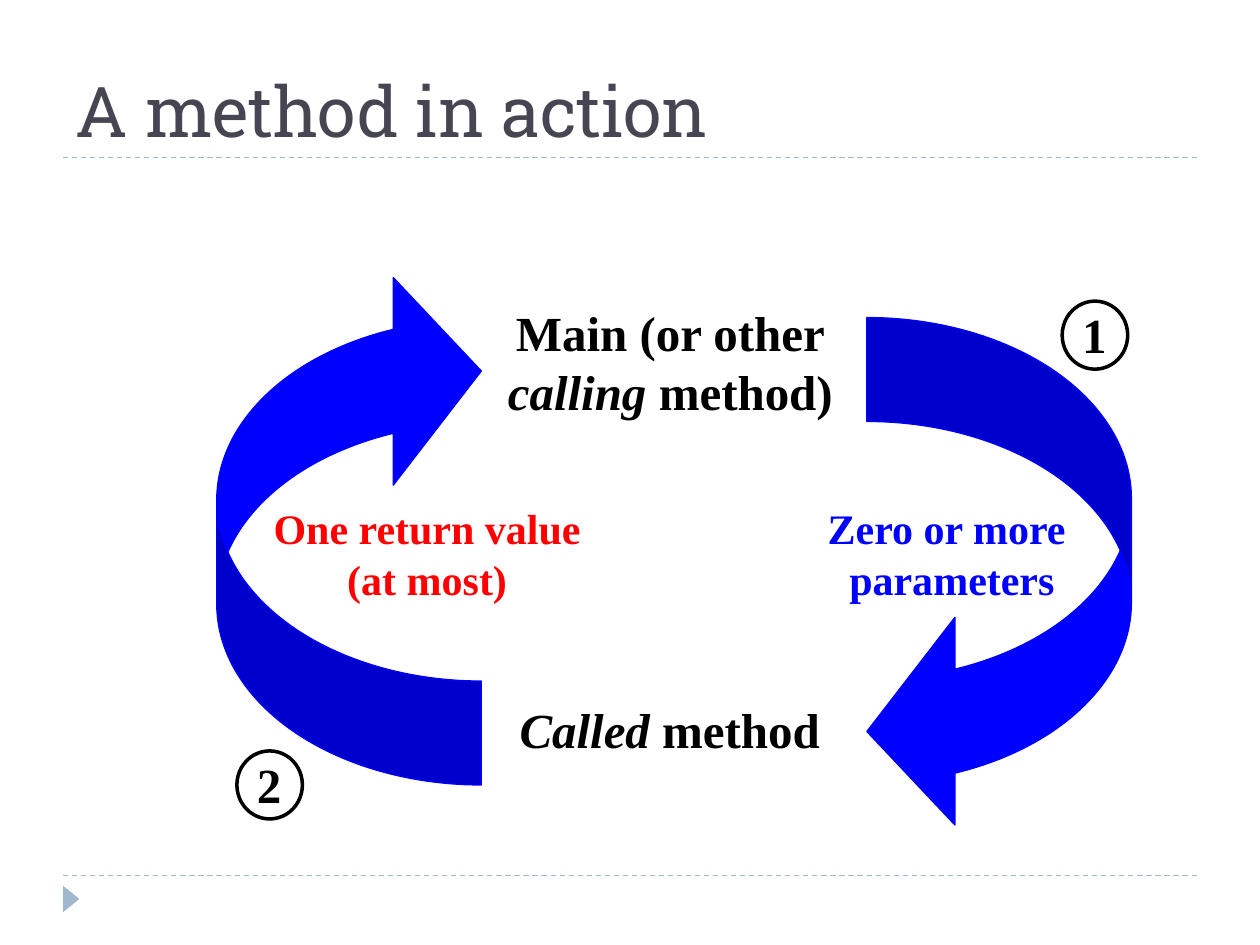
import pptx
import pptx.util
import pptx.dml.color
import pptx.enum.dml
import pptx.enum.shapes
import pptx.enum.text
import lxml.etree

COLOURS = {"rule": "9FB8CD", "title": "464653", "arrow": "0000FF",
           "parameters": "0000FF", "result": "FF0000", "ink": "000000"}
SERIF = "Times New Roman"
SHAPES = pptx.enum.shapes.MSO_SHAPE
ALIGN = pptx.enum.text.PP_ALIGN
ANCHOR = pptx.enum.text.MSO_ANCHOR

deck = pptx.Presentation()
deck.slide_width = pptx.util.Inches(10)
deck.slide_height = pptx.util.Inches(7.5)
page = deck.slides.add_slide(deck.slide_layouts[6])

# The page is a grid of 100 columns by 75 rows.
COLUMN = deck.slide_width / 100
ROW = deck.slide_height / 75


def add_preset(preset, left, top, width, height, fill=None, line=None, weight=0.75):
    shape = page.shapes.add_shape(preset, round(left * COLUMN), round(top * ROW),
                                  round(width * COLUMN), round(height * ROW))
    shape.shadow.inherit = False
    for part, colour in ((shape.fill, fill), (shape.line.fill, line)):
        if colour:
            part.solid()
            part.fore_color.rgb = pptx.dml.color.RGBColor.from_string(COLOURS[colour])
        else:
            part.background()
    if line:
        shape.line.width = pptx.util.Pt(weight)
    return shape


def add_text(lines, left, top, width, height, size, colour="ink", font=SERIF,
             bold=True, align=ALIGN.CENTER, anchor=ANCHOR.TOP, wrap=False):
    """Each line is a list of spans; a span starting with * is italic."""
    box = page.shapes.add_textbox(round(left * COLUMN), round(top * ROW),
                                  round(width * COLUMN), round(height * ROW))
    frame = box.text_frame
    frame.word_wrap = wrap
    frame.vertical_anchor = anchor
    for index, spans in enumerate(lines):
        para = frame.add_paragraph() if index else frame.paragraphs[0]
        para.alignment = align
        para.font.name = font
        para.font.size = pptx.util.Pt(size)
        para.font.bold = bold
        para.font.color.rgb = pptx.dml.color.RGBColor.from_string(COLOURS[colour])
        for text in spans:
            span = para.add_run()
            span.text = text.removeprefix("*")
            if text.startswith("*"):
                span.font.italic = True


# Dashed rules and the footer marker
for row in (69.5, 12.5):
    rule = page.shapes.add_connector(
        pptx.enum.shapes.MSO_CONNECTOR.STRAIGHT,
        round(5 * COLUMN), round(row * ROW), round(95 * COLUMN), round(row * ROW))
    rule.line.color.rgb = pptx.dml.color.RGBColor.from_string(COLOURS["rule"])
    rule.line.width = pptx.util.Pt(0.75)
    rule.line.dash_style = pptx.enum.dml.MSO_LINE.DASH
    lxml.etree.SubElement(rule.element.spPr, pptx.oxml.ns.qn("a:effectLst"))

marker = add_preset(SHAPES.ISOSCELES_TRIANGLE, 4.6, 70.7, 2.1, 1.3, fill="rule")
marker.rotation = 90

add_text([["A method in action"]], 5, 1.7, 90, 10.8, 40, "title", "Roboto Slab",
         bold=False, align=ALIGN.LEFT, anchor=ANCHOR.BOTTOM, wrap=True)

# The call cycle: one arrow down to the called method, one back up
for left, top, turn in ((68.8, 25.2, 0), (17.2, 21.2, 180)):
    arrow = add_preset(SHAPES.CURVED_LEFT_ARROW, left, top, 21, 41.1, "arrow", "arrow")
    arrow.rotation = turn
    for index, share in enumerate((0.393, 0.785, 0.333)):
        arrow.adjustments[index] = share

add_text([["Main (or other"], ["*calling", " method)"]], 39.3, 23.5, 27.8, 10.3, 28)
add_text([["*Called", " method"]], 40.2, 55, 25.9, 5.7, 28)
add_text([["Zero or more "], ["parameters"]], 64.6, 39.4, 21.9, 9, 24, "parameters")
add_text([["One return value"], ["(at most)"]], 20.7, 39.4, 26.4, 9, 24, "result")

# Numbered steps
for number, left, top in (("1", 84.3, 23.9), ("2", 18.8, 59.6)):
    add_preset(SHAPES.OVAL, left, top, 5.2, 5.4, line="ink", weight=2)
    add_text([[number]], left + 0.6, top - 0.2, 4, 5.7, 28, align=ALIGN.LEFT)

deck.save("out.pptx")
